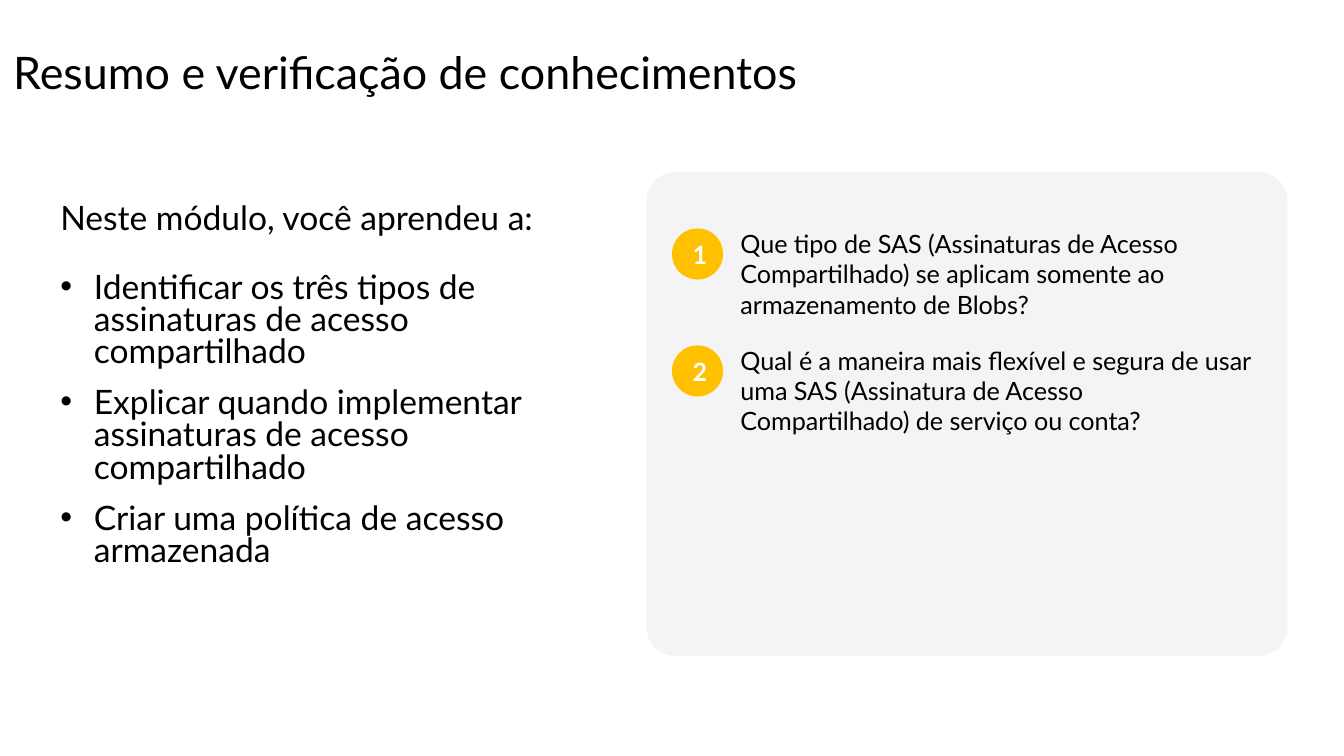
from dataclasses import dataclass

import pptx
import pptx.util
import pptx.dml.color
import pptx.enum.shapes
import pptx.enum.text
import pptx.oxml.ns
from lxml import etree
from pptx.util import Inches

COLOURS = {"text": "000000", "panel": "F4F3F5", "badge": "FFC000", "number": "FFFFFF"}
FONT = "Lato"
BADGE_SIZE = 0.38
QUESTION_TOP = 1.7
QUESTION_STEP = 0.87


@dataclass
class Box:
    left: float
    top: float
    width: float
    height: float

    def lengths(self) -> tuple:
        return tuple(Inches(v) for v in (self.left, self.top, self.width, self.height))


@dataclass
class Question:
    text: str
    height: float


QUESTIONS = [
    Question("Que tipo de SAS (Assinaturas de Acesso Compartilhado) se aplicam "
             "somente ao armazenamento de Blobs?", 0.65),
    Question("Qual é a maneira mais flexível e segura de usar uma SAS (Assinatura "
             "de Acesso Compartilhado) de serviço ou conta?", 0.97),
]
LESSONS = [
    "Identificar os três tipos de assinaturas de acesso compartilhado",
    "Explicar quando implementar assinaturas de acesso compartilhado",
    "Criar uma política de acesso armazenada",
]


def rgb(name: str) -> pptx.dml.color.RGBColor:
    return pptx.dml.color.RGBColor.from_string(COLOURS[name])


def write(paragraph, text: str, size: float, colour: str = "text", bold: bool = False) -> None:
    paragraph.text = text
    for run in paragraph.runs:
        run.font.name = FONT
        run.font.size = pptx.util.Pt(size)
        run.font.bold = bold
        run.font.color.rgb = rgb(colour)


def add_text_frame(slide, box: Box):
    frame = slide.shapes.add_textbox(*box.lengths()).text_frame
    frame.word_wrap = True
    return frame


def add_filled_shape(slide, kind, box: Box, colour: str):
    shape = slide.shapes.add_shape(kind, *box.lengths())
    shape.shadow.inherit = False
    shape.fill.solid()
    shape.fill.fore_color.rgb = rgb(colour)
    shape.line.fill.background()
    return shape


def add_bullet(paragraph) -> None:
    properties = paragraph._p.get_or_add_pPr()
    properties.set("marL", str(Inches(0.25)))
    properties.set("indent", str(Inches(-0.25)))
    font = etree.SubElement(properties, pptx.oxml.ns.qn("a:buFont"))
    font.set("typeface", "Arial")
    bullet = etree.SubElement(properties, pptx.oxml.ns.qn("a:buChar"))
    bullet.set("char", "•")


def add_title(slide) -> None:
    frame = add_text_frame(slide, Box(0, 0.01, 8.62, 1.09))
    frame.vertical_anchor = pptx.enum.text.MSO_ANCHOR.MIDDLE
    title = frame.paragraphs[0]
    title.line_spacing = 0.9
    write(title, "Resumo e verificação de conhecimentos", 24)


def add_lessons(slide) -> None:
    frame = add_text_frame(slide, Box(0.35, 1.45, 4.28, 3.09))
    intro = frame.paragraphs[0]
    intro.line_spacing = 0.9
    intro.space_after = pptx.util.Pt(9)
    write(intro, "Neste módulo, você aprendeu a:", 18)
    for text in LESSONS:
        lesson = frame.add_paragraph()
        lesson.line_spacing = 0.8
        lesson.space_before = pptx.util.Pt(10)
        add_bullet(lesson)
        write(lesson, text, 18)


def add_question(slide, number: int, question: Question) -> None:
    top = QUESTION_TOP + (number - 1) * QUESTION_STEP
    badge = add_filled_shape(slide, pptx.enum.shapes.MSO_SHAPE.OVAL,
                             Box(5, top, BADGE_SIZE, BADGE_SIZE), "badge")
    badge.text_frame.vertical_anchor = pptx.enum.text.MSO_ANCHOR.MIDDLE
    label = badge.text_frame.paragraphs[0]
    label.alignment = pptx.enum.text.PP_ALIGN.CENTER
    write(label, str(number), 13.5, "number", True)

    frame = add_text_frame(slide, Box(5.51, top, 3.83, question.height))
    frame.margin_left = frame.margin_right = Inches(0)
    frame.margin_top = frame.margin_bottom = Inches(0)
    frame.paragraphs[0].space_after = pptx.util.Pt(4.5)
    write(frame.paragraphs[0], question.text, 13.5)


def main() -> None:
    presentation = pptx.Presentation()
    presentation.slide_width = Inches(10)
    presentation.slide_height = Inches(10 * 9 / 16)
    slide = presentation.slides.add_slide(presentation.slide_layouts[6])
    panel = add_filled_shape(slide, pptx.enum.shapes.MSO_SHAPE.ROUNDED_RECTANGLE,
                             Box(4.81, 1.28, 4.77, 3.6), "panel")
    panel.adjustments[0] = 0.06
    add_title(slide)
    add_lessons(slide)
    for number, question in enumerate(QUESTIONS, start=1):
        add_question(slide, number, question)
    presentation.save("out.pptx")


if __name__ == "__main__":
    main()
